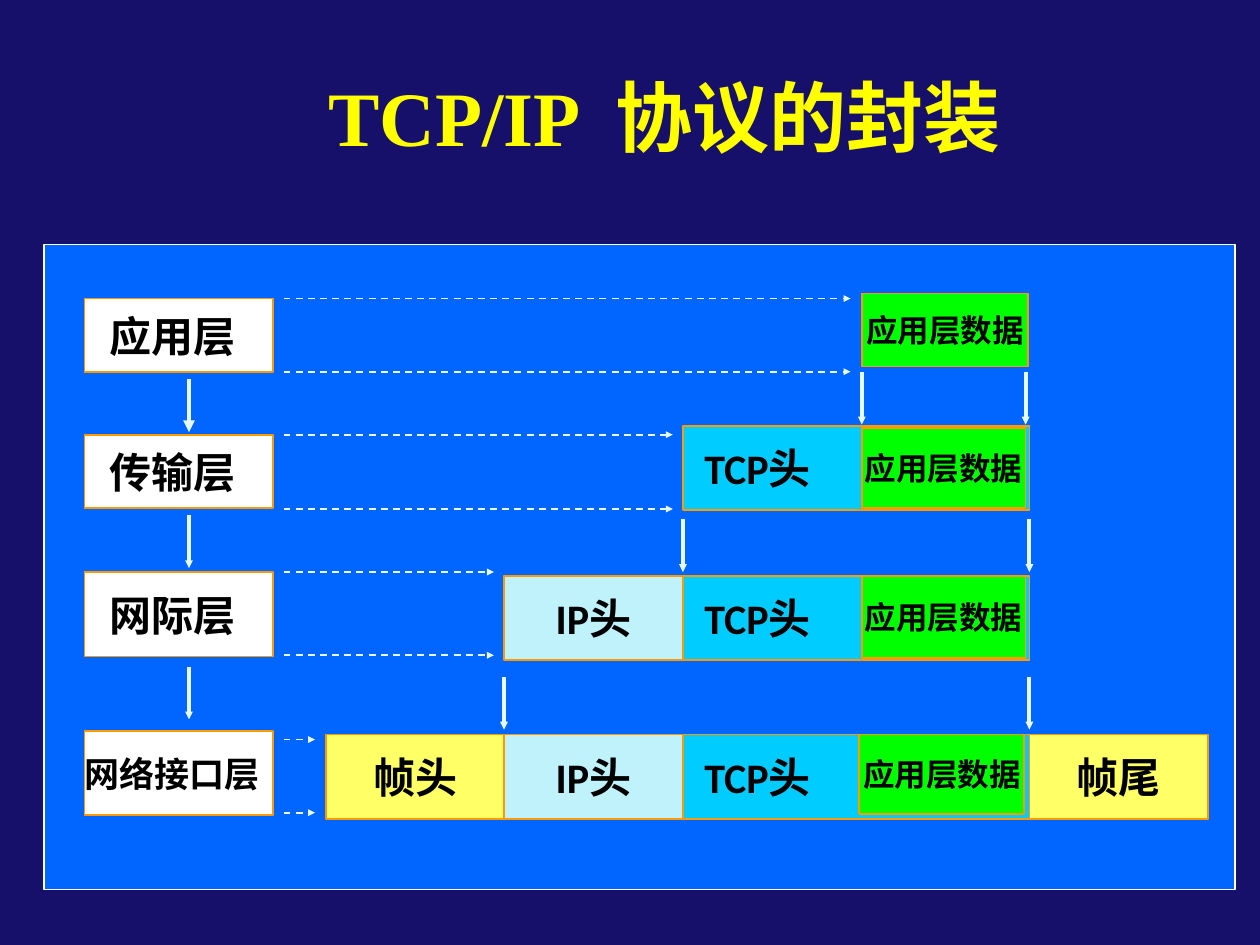
from dataclasses import dataclass

import pptx
import pptx.dml.color
import pptx.enum.dml
import pptx.enum.shapes
import pptx.enum.text
import pptx.oxml
import pptx.oxml.ns
import pptx.util
from pptx.util import Inches

COLOURS = {
    "background": "16106B", "title": "FFFF00", "panel": "0066FF",
    "white": "FFFFFF", "text": "000000", "border": "FF9900", "arrow": "E6FAFE",
    "data": "00FF00", "tcp": "00CCFF", "ip": "C0F2FC", "frame": "FFFF66",
}
ALIGN = pptx.enum.text.PP_ALIGN
HEADER_WIDTH = 1.42
SEGMENT_HEIGHT = 0.67
FRAME_X, IP_X, TCP_X, DATA_X, TAIL_X = 2.59, 4, 5.42, 6.84, 8.17


@dataclass
class Box:
    text: str
    left: float
    top: float
    width: float
    height: float
    fill: str
    size: int = 24
    font: str = "Calibri"
    align: ALIGN = ALIGN.CENTER
    left_inset: float = 0.1
    right_inset: float = 0.1


@dataclass
class Arrow:
    start: tuple[float, float]
    end: tuple[float, float]
    dashed: bool = False
    head: str = "sm"


@dataclass
class Layer:
    name: str
    top: float
    height: float
    guide_top: float
    guide_bottom: float
    guide_end: float
    size: int = 24


LAYERS = [
    Layer("应用层", 2.37, 0.58, 2.37, 2.95, 6.75),
    Layer("传输层", 3.45, 0.58, 3.45, 4.04, 5.34),
    Layer("网际层", 4.54, 0.67, 4.54, 5.2, 3.92),
    Layer("网络接口层", 5.8, 0.67, 5.87, 6.45, 2.5, size=20),
]


def rgb(name: str) -> pptx.dml.color.RGBColor:
    return pptx.dml.color.RGBColor.from_string(COLOURS[name])


def style_font(font, name: str, size: int, colour: str) -> None:
    font.name = name
    font.size = pptx.util.Pt(size)
    font.bold = True
    font.color.rgb = rgb(colour)


def add_rectangle(slide, left: float, top: float, width: float, height: float,
                  fill: str, border: str):
    rectangle = slide.shapes.add_shape(
        pptx.enum.shapes.MSO_SHAPE.RECTANGLE,
        Inches(left), Inches(top), Inches(width), Inches(height))
    rectangle.shadow.inherit = False
    rectangle.fill.solid()
    rectangle.fill.fore_color.rgb = rgb(fill)
    rectangle.line.color.rgb = rgb(border)
    rectangle.line.width = pptx.util.Pt(1)
    return rectangle


def add_box(slide, box: Box) -> None:
    frame = add_rectangle(slide, box.left, box.top, box.width, box.height,
                          box.fill, "border").text_frame
    frame.word_wrap = False
    frame.vertical_anchor = pptx.enum.text.MSO_ANCHOR.MIDDLE
    frame.margin_left = Inches(box.left_inset)
    frame.margin_right = Inches(box.right_inset)
    frame.text = box.text
    paragraph = frame.paragraphs[0]
    paragraph.alignment = box.align
    style_font(paragraph.runs[0].font, box.font, box.size, "text")


def add_arrow(slide, arrow: Arrow) -> None:
    connector = slide.shapes.add_connector(
        pptx.enum.shapes.MSO_CONNECTOR.STRAIGHT,
        *(Inches(value) for value in arrow.start + arrow.end))
    connector.line.color.rgb = rgb("arrow")
    connector.line.width = pptx.util.Pt(1 if arrow.dashed else 2.25)
    if arrow.dashed:
        connector.line.dash_style = pptx.enum.dml.MSO_LINE.DASH
    namespace = pptx.oxml.ns.nsdecls("a")
    connector.line._get_or_add_ln().append(pptx.oxml.parse_xml(
        f'<a:tailEnd {namespace} type="triangle" '
        f'w="{arrow.head}" len="{arrow.head}"/>'))
    connector._element.spPr.append(
        pptx.oxml.parse_xml(f"<a:effectLst {namespace}/>"))


def add_title(slide) -> None:
    frame = slide.shapes.add_textbox(
        Inches(2.51), Inches(0.5), Inches(5.71), Inches(0.84)).text_frame
    frame.word_wrap = False
    frame.auto_size = pptx.enum.text.MSO_AUTO_SIZE.SHAPE_TO_FIT_TEXT
    for text, font in (("TCP/IP", "Times New Roman"), (" ", "Times New Roman"),
                       ("协议的封装", "Calibri")):
        run = frame.paragraphs[0].add_run()
        run.text = text
        style_font(run.font, font, 44, "title")
        if text == " ":
            run.font._element.set("spc", "850")  # widens the gap by 8.5 pt


def data_box(left: float, top: float, width: float, height: float,
             font: str = "Calibri") -> Box:
    return Box("应用层数据", left, top, width, height, "data", 18, font)


def tcp_box(top: float) -> Box:
    """TCP segment, reaching behind the application data."""
    return Box("TCP头", TCP_X, top, TAIL_X - TCP_X, SEGMENT_HEIGHT, "tcp",
               align=ALIGN.LEFT, left_inset=0.17)


def header_box(text: str, left: float, top: float, fill: str) -> Box:
    return Box(text, left, top, HEADER_WIDTH, SEGMENT_HEIGHT, fill)


def down_arrow(x: float, top: float, head: str = "sm") -> Arrow:
    return Arrow((x, top), (x, top + 0.42), head=head)


def main() -> None:
    presentation = pptx.Presentation()
    presentation.slide_width = Inches(10)
    presentation.slide_height = Inches(7.5)
    slide = presentation.slides.add_slide(presentation.slide_layouts[6])
    slide.background.fill.solid()
    slide.background.fill.fore_color.rgb = rgb("background")

    add_title(slide)
    add_rectangle(slide, 0.35, 1.94, 9.45, 5.12, "panel", "white")

    segments = [
        data_box(DATA_X, 2.33, 1.32, 0.58),
        tcp_box(3.38),
        data_box(DATA_X, 3.4, 1.3, 0.63, "Times New Roman"),
        tcp_box(4.57),
        data_box(DATA_X, 4.57, 1.3, 0.65),
        header_box("IP头", IP_X, 4.57, "ip"),
        header_box("帧头", FRAME_X, 5.83, "frame"),
        tcp_box(5.83),
        data_box(6.82, 5.83, 1.31, 0.63),
        header_box("IP头", IP_X, 5.83, "ip"),
        header_box("帧尾", TAIL_X, 5.83, "frame"),
    ]
    layer_boxes = [Box(layer.name, 0.67, layer.top, 1.5, layer.height, "white",
                       layer.size, right_inset=0.2) for layer in LAYERS]
    for box in segments + layer_boxes:
        add_box(slide, box)

    encapsulation_steps = [(2.95, DATA_X, 8.14), (4.12, TCP_X, TAIL_X),
                           (5.37, IP_X, TAIL_X)]
    arrows = [down_arrow(x, top) for top, *edges in encapsulation_steps
              for x in edges]
    arrows += [Arrow((2.25, y), (layer.guide_end, y), dashed=True)
               for layer in LAYERS
               for y in (layer.guide_top, layer.guide_bottom)]
    arrows += [down_arrow(1.5, top, head)
               for top, head in ((3.01, "med"), (4.09, "sm"), (5.29, "sm"))]
    for arrow in arrows:
        add_arrow(slide, arrow)

    presentation.save("out.pptx")


if __name__ == "__main__":
    main()
